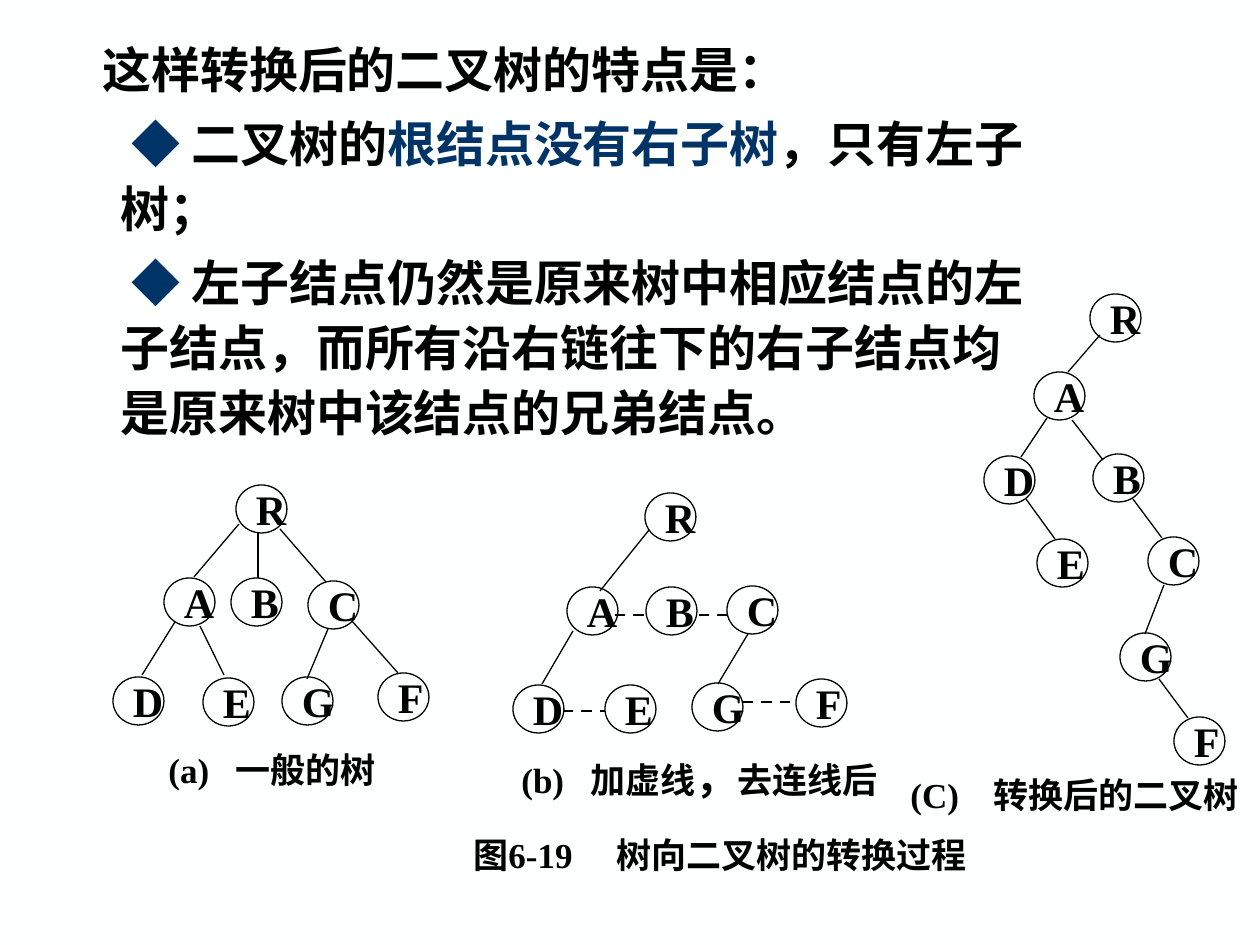
from lxml import etree
from pptx import Presentation
from pptx.dml.color import RGBColor
from pptx.enum.dml import MSO_LINE
from pptx.enum.shapes import MSO_CONNECTOR, MSO_SHAPE
from pptx.enum.text import MSO_ANCHOR, PP_ALIGN
from pptx.oxml.ns import qn
from pptx.util import Pt

PX = 914400 / 126
BLACK = RGBColor(0x00, 0x00, 0x00)
NAVY = RGBColor(0x00, 0x33, 0x66)
PAPER = RGBColor(0xFE, 0xFF, 0xFF)
LATIN = "Times New Roman"
CJK = "Noto Sans CJK SC"
OVAL = MSO_SHAPE.OVAL
STRAIGHT = MSO_CONNECTOR.STRAIGHT
DASH = MSO_LINE.DASH
MIDDLE = MSO_ANCHOR.MIDDLE
LEFT = PP_ALIGN.LEFT
NODE_W, NODE_H = 51, 48

# Each tree: node corners, solid edges, dashed sibling links
TREES = [
    ({"R": (236, 485), "A": (164, 578), "B": (231, 578), "C": (308, 581),
      "D": (113, 677), "E": (203, 678), "G": (282, 677), "F": (378, 673)},
     [(239, 524, 194, 577), (258, 532, 258, 578), (280, 529, 326, 582),
      (175, 622, 142, 675), (200, 626, 224, 675), (352, 621, 398, 673),
      (328, 629, 307, 679)],
     []),
    ({"R": (645, 493), "A": (567, 587), "B": (646, 587), "C": (727, 586),
      "D": (513, 685), "E": (605, 685), "G": (692, 683), "F": (796, 679)},
     [(649, 530, 600, 591), (573, 631, 542, 684), (748, 634, 718, 684)],
     [(615, 615, 646, 615), (699, 615, 727, 615),
      (563, 711, 605, 711), (743, 702, 795, 702)]),
    ({"R": (1090, 294), "A": (1034, 372), "B": (1093, 454), "C": (1148, 537),
      "D": (984, 456), "E": (1037, 539), "G": (1120, 633), "F": (1174, 717)},
     [(1100, 335, 1068, 372), (1047, 418, 1021, 457), (1072, 420, 1103, 460),
      (1026, 499, 1055, 539), (1133, 499, 1162, 538), (1164, 585, 1145, 634),
      (1159, 679, 1188, 718)],
     []),
]

# Box, tab stop, runs of (text, size, font)
CAPTIONS = [
    ((461, 830, 512, 49), 143, [("图6-19\t树向二叉树的转换过程", 20, LATIN)]),
    ((156, 747, 228, 44), 67, [("(a)\t一般的树", 20, LATIN)]),
    ((509, 755, 376, 44), 69, [("(b)\t加虚线", 20, LATIN), ("，", 24, CJK),
                               ("去连线后", 20, LATIN)]),
    ((898, 770, 350, 49), 83, [("(C)\t转换后的二叉树", 20, LATIN)]),
]

# First-line indent, left margin, runs of (text, font, colour)
FEATURES = [
    (56, 0, [("这样转换后的二叉树的特点是", CJK, BLACK), ("：", LATIN, BLACK)]),
    (0, 74, [(" ", CJK, BLACK), ("◆", CJK, NAVY), (" 二叉树的", CJK, BLACK),
             ("根结点没有右子树", CJK, NAVY), ("，只有左子树；", CJK, BLACK)]),
    (0, 74, [(" ", CJK, BLACK), ("◆", LATIN, NAVY),
             (" 左子结点仍然是原来树中相应结点的左子结点，而所有沿右链往下的"
              "右子结点均是原来树中该结点的兄弟结点。", CJK, BLACK)]),
]


def px(n):
    return round(n * PX)


class Deck:
    def __init__(self, width, height):
        self.prs = Presentation()
        self.prs.slide_width, self.prs.slide_height = px(width), px(height)
        self.s = self.prs.slides.add_slide(self.prs.slide_layouts[6])
        fill = self.s.background.fill
        fill.solid()
        fill.fore_color.rgb = PAPER

    def run(self, p, text, size, font=LATIN, color=BLACK):
        r = p.add_run()
        r.text = text
        r.font.size, r.font.bold, r.font.name = Pt(size), True, font
        r.font.color.rgb = color
        latin = r.font._element.find(qn("a:latin"))
        latin.addnext(etree.Element(qn("a:ea"), typeface=CJK))

    def features(self, box, paragraphs):
        tf = self.s.shapes.add_textbox(*map(px, box)).text_frame
        tf.word_wrap = True
        for i, (indent, margin, runs) in enumerate(paragraphs):
            p = tf.add_paragraph() if i else tf.paragraphs[0]
            p.line_spacing = 1.1
            if i:
                p.space_before = Pt(5.6)
            pPr = p._p.get_or_add_pPr()
            pPr.set("marL", str(px(margin)))
            pPr.set("indent", str(px(indent)))
            for text, font, color in runs:
                self.run(p, text, 28, font, color)

    def caption(self, box, tab, runs):
        tf = self.s.shapes.add_textbox(*map(px, box)).text_frame
        tf.word_wrap = False
        tf.margin_right = 0
        tf.vertical_anchor = MIDDLE
        p = tf.paragraphs[0]
        tabs = etree.SubElement(p._p.get_or_add_pPr(), qn("a:tabLst"))
        etree.SubElement(tabs, qn("a:tab"), pos=str(px(tab)), algn="l")
        for text, size, font in runs:
            self.run(p, text, size, font)

    def node(self, label, x, y):
        sp = self.s.shapes.add_shape(OVAL, *map(px, (x, y, NODE_W, NODE_H)))
        sp.shadow.inherit = False
        sp.fill.background()
        sp.line.color.rgb = BLACK
        sp.line.width = Pt(0.75)
        tf = sp.text_frame
        tf.word_wrap = False
        tf.vertical_anchor = MIDDLE
        p = tf.paragraphs[0]
        p.alignment = LEFT
        self.run(p, label, 24)

    def edge(self, ends, dashed=False):
        line = self.s.shapes.add_connector(STRAIGHT, *map(px, ends))
        line.line.color.rgb = BLACK
        line.line.width = Pt(1.5 if dashed else 0.75)
        if dashed:
            line.line.dash_style = DASH
        etree.SubElement(line._element.spPr, qn("a:effectLst"))

    def tree(self, nodes, edges, links):
        for label, (x, y) in nodes.items():
            self.node(label, x, y)
        for ends in edges:
            self.edge(ends)
        for ends in links:
            self.edge(ends, dashed=True)


def main():
    deck = Deck(1260, 945)
    deck.features((34, 27, 1002, 425), FEATURES)
    for caption in CAPTIONS:
        deck.caption(*caption)
    for tree in TREES:
        deck.tree(*tree)
    deck.prs.save("out.pptx")


if __name__ == "__main__":
    main()
